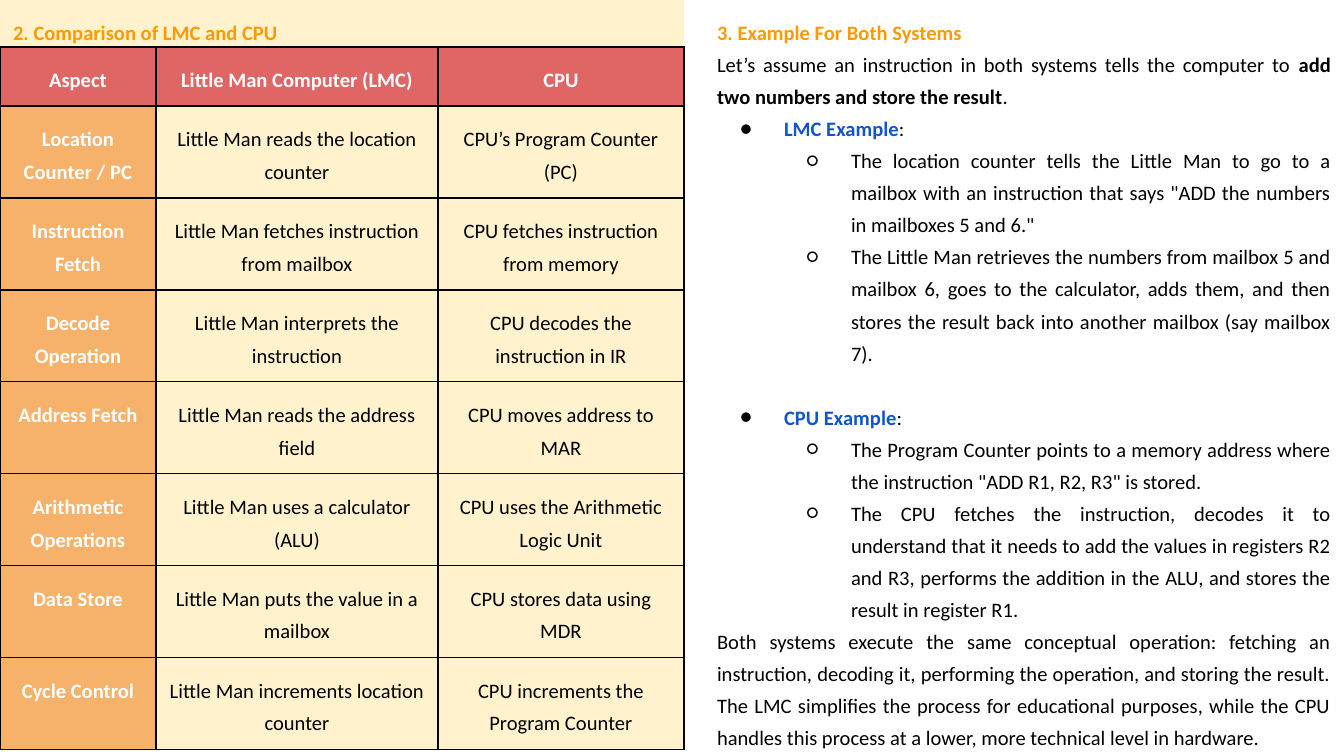
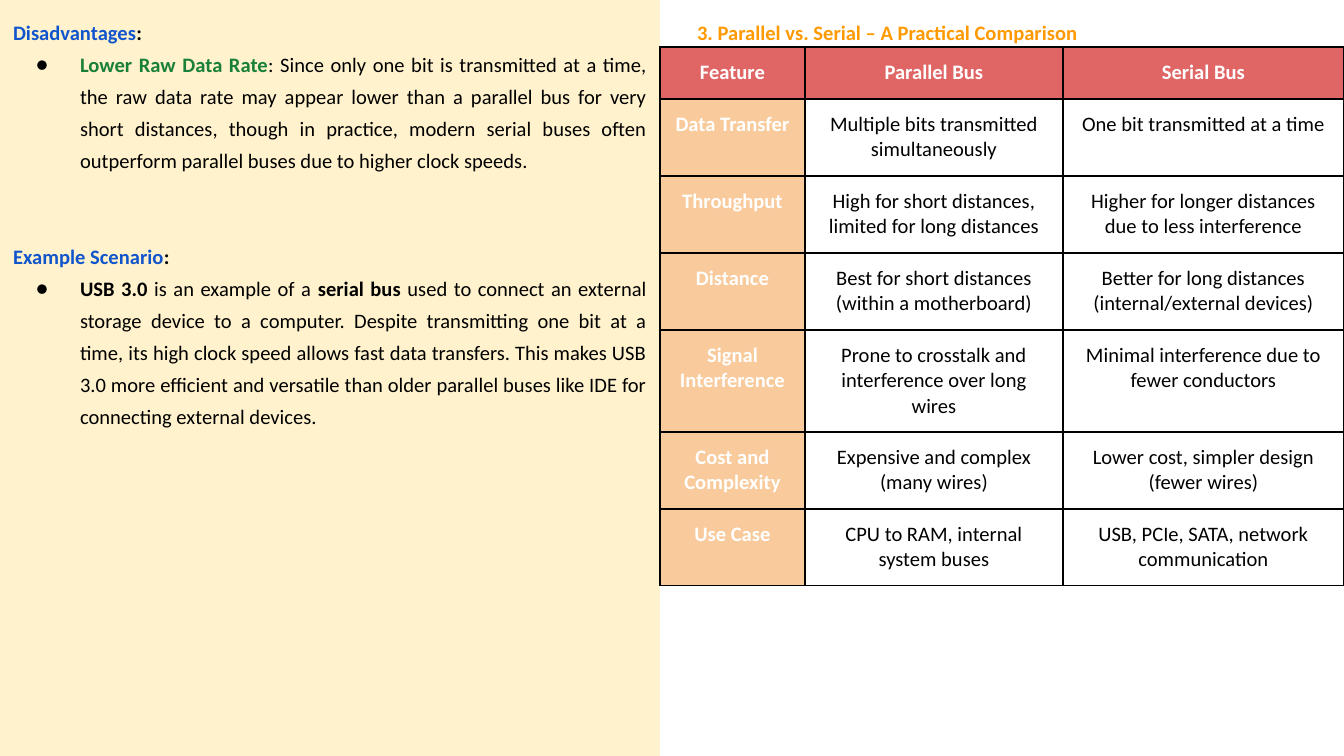
from lxml import etree
from pptx import Presentation
from pptx.dml.color import RGBColor
from pptx.enum.text import MSO_ANCHOR, MSO_AUTO_SIZE, PP_ALIGN
from pptx.oxml.ns import qn
from pptx.util import Emu, Pt

TOP = MSO_ANCHOR.TOP
NO_FIT = MSO_AUTO_SIZE.NONE
CENTER = PP_ALIGN.CENTER
JUSTIFY = PP_ALIGN.JUSTIFY

SCALE = 914400 / 134.4
PAGE_WIDTH, PAGE_HEIGHT = 1344, 756
HEADING_HEIGHT = 47
TABLE_WIDTH = 684
PANEL_WIDTH = PAGE_WIDTH - TABLE_WIDTH
MARGIN = 13
INDENT, HANGING = 67, 44
BULLETS = "●○"
BLANK_LINE = 32
SPACING = 1.3

COLORS = {
    "white": "FFFFFF",
    "black": "000000",
    "cream": "FFF2CC",
    "orange": "FF9900",
    "blue": "1155CC",
    "green": "188038",
    "red": "E06666",
    "amber": "F6B26B",
    "peach": "F9CB9C",
}

STYLES = {
    "heading": ("orange", True),
    "label": ("white", True),
    "plain": ("black", False),
    "strong": ("black", True),
    "term": ("blue", True),
    "merit": ("green", True),
}

LMC_ROWS = [
    ("Aspect", "Little Man Computer (LMC)", "CPU"),
    ("Location Counter / PC", "Little Man reads the location counter", "CPU’s Program Counter (PC)"),
    ("Instruction Fetch", "Little Man fetches instruction from mailbox", "CPU fetches instruction from memory"),
    ("Decode Operation", "Little Man interprets the instruction", "CPU decodes the instruction in IR"),
    ("Address Fetch", "Little Man reads the address field", "CPU moves address to MAR"),
    ("Arithmetic Operations", "Little Man uses a calculator (ALU)", "CPU uses the Arithmetic Logic Unit"),
    ("Data Store", "Little Man puts the value in a mailbox", "CPU stores data using MDR"),
    ("Cycle Control", "Little Man increments location counter", "CPU increments the Program Counter"),
]

BUS_ROWS = [
    ("Feature", "Parallel Bus", "Serial Bus"),
    ("Data Transfer", "Multiple bits transmitted simultaneously", "One bit transmitted at a time"),
    ("Throughput", "High for short distances, limited for long distances",
     "Higher for longer distances due to less interference"),
    ("Distance", "Best for short distances (within a motherboard)",
     "Better for long distances (internal/external devices)"),
    ("Signal Interference", "Prone to crosstalk and interference over long wires",
     "Minimal interference due to fewer conductors"),
    ("Cost and Complexity", "Expensive and complex (many wires)", "Lower cost, simpler design (fewer wires)"),
    ("Use Case", "CPU to RAM, internal system buses", "USB, PCIe, SATA, network communication"),
]

EXAMPLE_TEXT = [
    {"spans": [("3. Example For Both Systems", "heading")]},
    {"spans": [("Let’s assume an instruction in both systems tells the computer to ", "plain"),
               ("add two numbers and store the result", "strong"), (".", "plain")]},
    {"level": 0, "spans": [("LMC Example", "term"), (":", "plain")]},
    {"level": 1, "spans": [("The location counter tells the Little Man to go to a mailbox with an instruction "
                            'that says "ADD the numbers in mailboxes 5 and 6."', "plain")]},
    {"level": 1, "spans": [("The Little Man retrieves the numbers from mailbox 5 and mailbox 6, goes to the "
                            "calculator, adds them, and then stores the result back into another mailbox "
                            "(say mailbox 7).", "plain")]},
    {"level": 0, "blank_lines": 1, "spans": [("CPU Example", "term"), (":", "plain")]},
    {"level": 1, "spans": [("The Program Counter points to a memory address where the instruction "
                            '"ADD R1, R2, R3" is stored.', "plain")]},
    {"level": 1, "spans": [("The CPU fetches the instruction, decodes it to understand that it needs to add "
                            "the values in registers R2 and R3, performs the addition in the ALU, and stores "
                            "the result in register R1.", "plain")]},
    {"spans": [("Both systems execute the same conceptual operation: fetching an instruction, decoding it, "
                "performing the operation, and storing the result. The LMC simplifies the process for "
                "educational purposes, while the CPU handles this process at a lower, more technical level "
                "in hardware.", "plain")]},
]

SERIAL_TEXT = [
    {"spans": [("Disadvantages", "term"), (":", "strong")]},
    {"level": 0, "spans": [("Lower Raw Data Rate", "merit"),
                           (": Since only one bit is transmitted at a time, the raw data rate may appear lower "
                            "than a parallel bus for very short distances, though in practice, modern serial "
                            "buses often outperform parallel buses due to higher clock speeds.", "plain")]},
    {"blank_lines": 2, "spans": [("Example Scenario", "term"), (":", "strong")]},
    {"level": 0, "spans": [("USB 3.0", "strong"), (" is an example of a ", "plain"), ("serial bus", "strong"),
                           (" used to connect an external storage device to a computer. Despite transmitting "
                            "one bit at a time, its high clock speed allows fast data transfers. This makes "
                            "USB 3.0 more efficient and versatile than older parallel buses like IDE for "
                            "connecting external devices.", "plain")]},
]


def px(length):
    return Emu(round(length * SCALE))


def rgb(name):
    return RGBColor.from_string(COLORS[name])


def apply(target, values):
    for name, value in values.items():
        setattr(target, name, value)


def paint(fill, color):
    if color:
        fill.solid()
        fill.fore_color.rgb = rgb(color)
    else:
        fill.background()


def add_span(para, text, style):
    color, bold = STYLES[style]
    span = para.add_run()
    span.text = text
    apply(span.font, {"name": "Calibri", "size": Pt(11), "bold": bold})
    span.font.color.rgb = rgb(color)


def set_bullet(para, level):
    properties = para._p.get_or_add_pPr()
    if level is None:
        left = indent = 0
        etree.SubElement(properties, qn("a:buNone"))
    else:
        para.level = level
        left, indent = px(INDENT * (level + 1)), px(-HANGING)
        color = etree.SubElement(properties, qn("a:buClr"))
        etree.SubElement(color, qn("a:srgbClr"), val=COLORS["black"])
        etree.SubElement(properties, qn("a:buFont"), typeface="Calibri")
        etree.SubElement(properties, qn("a:buChar"), char=BULLETS[level])
    properties.set("marL", str(left))
    properties.set("indent", str(indent))


def fill_text(box, bounds, content, color=None):
    apply(box, dict(zip(("left", "top", "width", "height"), map(px, bounds))))
    paint(box.fill, color)
    frame = box.text_frame
    apply(frame, {"word_wrap": True, "auto_size": NO_FIT, "vertical_anchor": TOP})
    apply(frame, {f"margin_{side}": px(MARGIN) for side in ("left", "right", "top", "bottom")})
    for index, entry in enumerate(content):
        para = frame.add_paragraph() if index else frame.paragraphs[0]
        apply(para, {"alignment": JUSTIFY, "line_spacing": SPACING, "space_after": Pt(0),
                     "space_before": px(BLANK_LINE * entry.get("blank_lines", 0))})
        set_bullet(para, entry.get("level"))
        for text, style in entry["spans"]:
            add_span(para, text, style)


def add_heading(page, left, width, text, color=None):
    content = [{"spans": [(text, "heading")]}]
    fill_text(page.shapes.title, (left, 0, width, HEADING_HEIGHT), content, color)


def set_borders(cell):
    properties = cell._tc.get_or_add_tcPr()
    for index, side in enumerate(("lnL", "lnR", "lnT", "lnB")):
        line = etree.Element(qn(f"a:{side}"), w=str(Pt(0.75)))
        solid = etree.SubElement(line, qn("a:solidFill"))
        etree.SubElement(solid, qn("a:srgbClr"), val=COLORS["black"])
        properties.insert(index, line)


def fill_cell(cell, text, style, color, spacing):
    apply(cell, {f"margin_{side}": px(MARGIN) for side in ("left", "right", "top", "bottom")})
    cell.vertical_anchor = TOP
    paint(cell.fill, color)
    set_borders(cell)
    para = cell.text_frame.paragraphs[0]
    apply(para, {"alignment": CENTER, "line_spacing": spacing})
    add_span(para, text, style)


def add_comparison(page, left, rows, widths, heights, label_color, cell_color=None, spacing=None):
    header_height, row_height = heights
    total = header_height + row_height * (len(rows) - 1)
    frame = page.shapes.add_table(len(rows), len(widths), px(left), px(HEADING_HEIGHT),
                                  px(sum(widths)), px(total))
    table = frame.table
    apply(table, {"first_row": False, "horz_banding": False})
    for column, width in zip(table.columns, widths):
        column.width = px(width)
    for row_index, texts in enumerate(rows):
        table.rows[row_index].height = px(row_height if row_index else header_height)
        for column_index, text in enumerate(texts):
            if row_index == 0:
                style, color = "label", "red"
            elif column_index == 0:
                style, color = "label", label_color
            else:
                style, color = "plain", cell_color
            fill_cell(table.cell(row_index, column_index), text, style, color, spacing)


def add_page(deck):
    page = deck.slides.add_slide(deck.slide_layouts[1])
    paint(page.background.fill, "white")
    return page


def build_lmc_page(deck):
    page = add_page(deck)
    add_heading(page, 0, TABLE_WIDTH, "2. Comparison of LMC and CPU", "cream")
    fill_text(page.placeholders[1], (704, 0, PAGE_WIDTH - 704, PAGE_HEIGHT), EXAMPLE_TEXT)
    add_comparison(page, 0, LMC_ROWS, (156, 282, 246), (59, 92), "amber", "cream", SPACING)


def build_bus_page(deck):
    page = add_page(deck)
    fill_text(page.placeholders[1], (0, 0, PANEL_WIDTH, PAGE_HEIGHT), SERIAL_TEXT, "cream")
    add_heading(page, TABLE_WIDTH, PANEL_WIDTH, "3. Parallel vs. Serial – A Practical Comparison")
    add_comparison(page, PANEL_WIDTH, BUS_ROWS, (145, 258, 281), (52, 77), "peach")


def main():
    deck = Presentation()
    apply(deck, {"slide_width": px(PAGE_WIDTH), "slide_height": px(PAGE_HEIGHT)})
    build_lmc_page(deck)
    build_bus_page(deck)
    deck.save("out.pptx")


if __name__ == "__main__":
    main()
